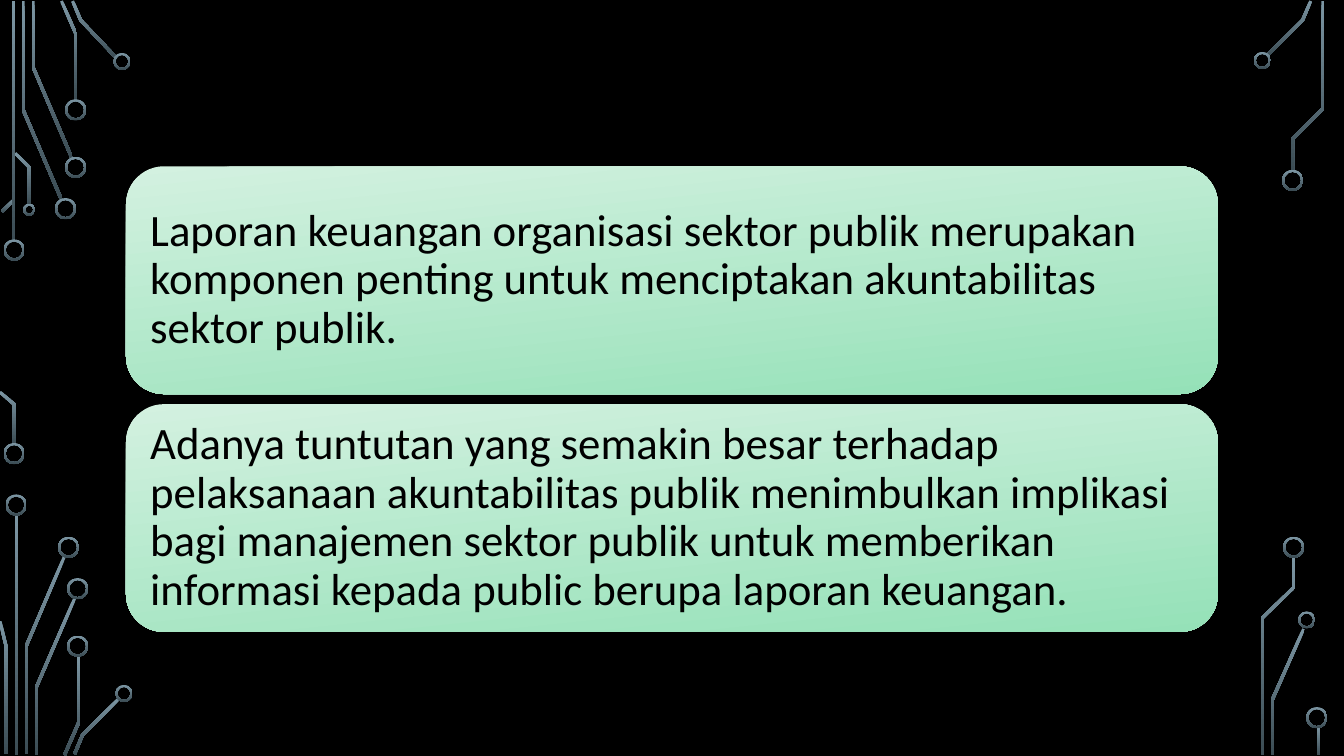
import math

from pptx import Presentation
from pptx.dml.color import RGBColor
from pptx.enum.shapes import MSO_SHAPE
from pptx.enum.text import MSO_ANCHOR, PP_ALIGN
from pptx.util import Inches, Pt

BAR = MSO_SHAPE.RECTANGLE
RING = MSO_SHAPE.DONUT
CARD = MSO_SHAPE.ROUNDED_RECTANGLE
MIDDLE = MSO_ANCHOR.MIDDLE
LEFT = PP_ALIGN.LEFT

TRACES = [
    [(0.61, 1.98), (0.23, 1.09), (0.23, 0.01)],
    [(0.71, 1.56), (0.33, 0.67), (0.33, 0.01)],
    [(0.75, 1), (0.75, 0.33), (0.61, 0.01)],
    [(1.15, 0.57), (0.8, 0.2), (0.72, 0.01)],
    [(0.02, 2.1), (0.14, 1.98)],
    [(0.14, 4.41), (0.14, 4.01), (0, 3.89)],
    [(0.29, 2.03), (0.29, 1.66), (0.15, 1.52)],
    [(0.26, 7.48), (0.26, 6.41), (0.64, 5.52)],
    [(0.06, 7.48), (0.06, 6.41), (0, 6.16)],
    [(0.36, 7.49), (0.36, 6.82), (0.74, 5.94)],
    [(0.64, 7.49), (0.78, 7.17), (0.78, 6.5)],
    [(0.74, 7.48), (0.82, 7.29), (1.18, 6.93)],
    [(12.57, 0.55), (12.92, 0.2), (13, 0.01)],
    [(12.62, 7.49), (12.62, 6.94), (12.93, 6.24)],
    [(12.82, 1.69), (12.82, 1.38), (13.12, 1.08), (13.12, 0.01)],
    [(12.52, 7.49), (12.52, 6.13), (12.83, 5.83), (12.83, 5.52)],
]
BARS = [(0.12, 0.01, 2.39), (0.15, 5.1, 2.39), (13.06, 7.21, 0.28)]
NODES = {
    0.21: [(0.14, 2.48), (0.14, 4.5), (0.65, 2.07), (0.75, 1.66), (0.75, 1.09),
           (0.16, 5.01), (0.68, 5.43), (0.77, 5.84), (0.77, 6.41),
           (12.82, 1.79), (12.83, 5.43), (13.06, 7.12)],
    0.17: [(1.21, 0.61), (1.23, 6.88), (12.52, 0.6), (12.96, 6.15)],
    0.12: [(0.29, 2.08)],
}
STATEMENTS = [
    "Laporan keuangan organisasi sektor publik merupakan komponen penting "
    "untuk menciptakan akuntabilitas sektor publik.",
    "Adanya tuntutan yang semakin besar terhadap pelaksanaan akuntabilitas "
    "publik menimbulkan implikasi bagi manajemen sektor publik untuk "
    "memberikan informasi kepada public berupa laporan keuangan.",
]


def color(value):
    return RGBColor.from_string(value)


def offset_side(points, distance):
    normals = []
    for (x1, y1), (x2, y2) in zip(points, points[1:]):
        length = math.hypot(x2 - x1, y2 - y1)
        normals.append(((y1 - y2) / length, (x2 - x1) / length))
    side = []
    for (x, y), (ax, ay), (bx, by) in zip(
            points, normals[:1] + normals, normals + normals[-1:]):
        reach = distance / (1 + ax * bx + ay * by)
        side.append((x + (ax + bx) * reach, y + (ay + by) * reach))
    return side


class CircuitSlide:
    font = "Calibri"
    text_size = 32
    text_color = "000000"
    background = "000000"
    circuit = ("7C96A3", "3B4C54", 90)
    card_fill = ("D3F1E0", "95E1B8", 84)
    trace_width = 0.03
    ring_width = 0.02

    def __init__(self, presentation):
        self.slide = presentation.slides.add_slide(presentation.slide_layouts[6])
        fill = self.slide.background.fill
        fill.solid()
        fill.fore_color.rgb = color(self.background)

    def paint(self, shape, gradient):
        start, end, angle = gradient
        shape.shadow.inherit = False
        shape.line.fill.background()
        shape.fill.gradient()
        shape.fill.gradient_angle = 360 - angle
        for stop, position, tone in zip(shape.fill.gradient_stops, (0, 1), (start, end)):
            stop.position = position
            stop.color.rgb = color(tone)

    def preset(self, kind, left, top, width, height, gradient):
        shape = self.slide.shapes.add_shape(
            kind, Inches(left), Inches(top), Inches(width), Inches(height))
        self.paint(shape, gradient)
        return shape

    def bar(self, left, top, height):
        self.preset(BAR, left, top, self.trace_width, height, self.circuit)

    def node(self, x, y, diameter):
        ring = self.preset(RING, x - diameter / 2, y - diameter / 2,
                           diameter, diameter, self.circuit)
        ring.adjustments[0] = self.ring_width / diameter

    def trace(self, points):
        half = self.trace_width / 2
        edge = offset_side(points, half) + offset_side(points, -half)[::-1]
        outline = [(Inches(x), Inches(y)) for x, y in edge]
        builder = self.slide.shapes.build_freeform(*outline[0])
        builder.add_line_segments(outline[1:], close=True)
        self.paint(builder.convert_to_shape(), self.circuit)

    def card(self, left, top, width, height, statement):
        card = self.preset(CARD, left, top, width, height, self.card_fill)
        frame = card.text_frame
        frame.word_wrap = True
        frame.vertical_anchor = MIDDLE
        frame.margin_left = frame.margin_right = Inches(0.13)
        frame.margin_top = frame.margin_bottom = Inches(0.13)
        frame.text = statement
        paragraph = frame.paragraphs[0]
        paragraph.alignment = LEFT
        paragraph.line_spacing = 0.9
        for run in paragraph.runs:
            run.font.name = self.font
            run.font.size = Pt(self.text_size)
            run.font.color.rgb = color(self.text_color)


def main():
    presentation = Presentation()
    presentation.slide_width = Inches(13.33)
    presentation.slide_height = Inches(7.5)
    page = CircuitSlide(presentation)
    for points in TRACES:
        page.trace(points)
    for left, top, height in BARS:
        page.bar(left, top, height)
    for diameter, centers in NODES.items():
        for x, y in centers:
            page.node(x, y, diameter)
    for row, statement in enumerate(STATEMENTS):
        page.card(1.25, 1.65 + row * 2.36, 10.83, 2.26, statement)
    presentation.save("out.pptx")


if __name__ == "__main__":
    main()
